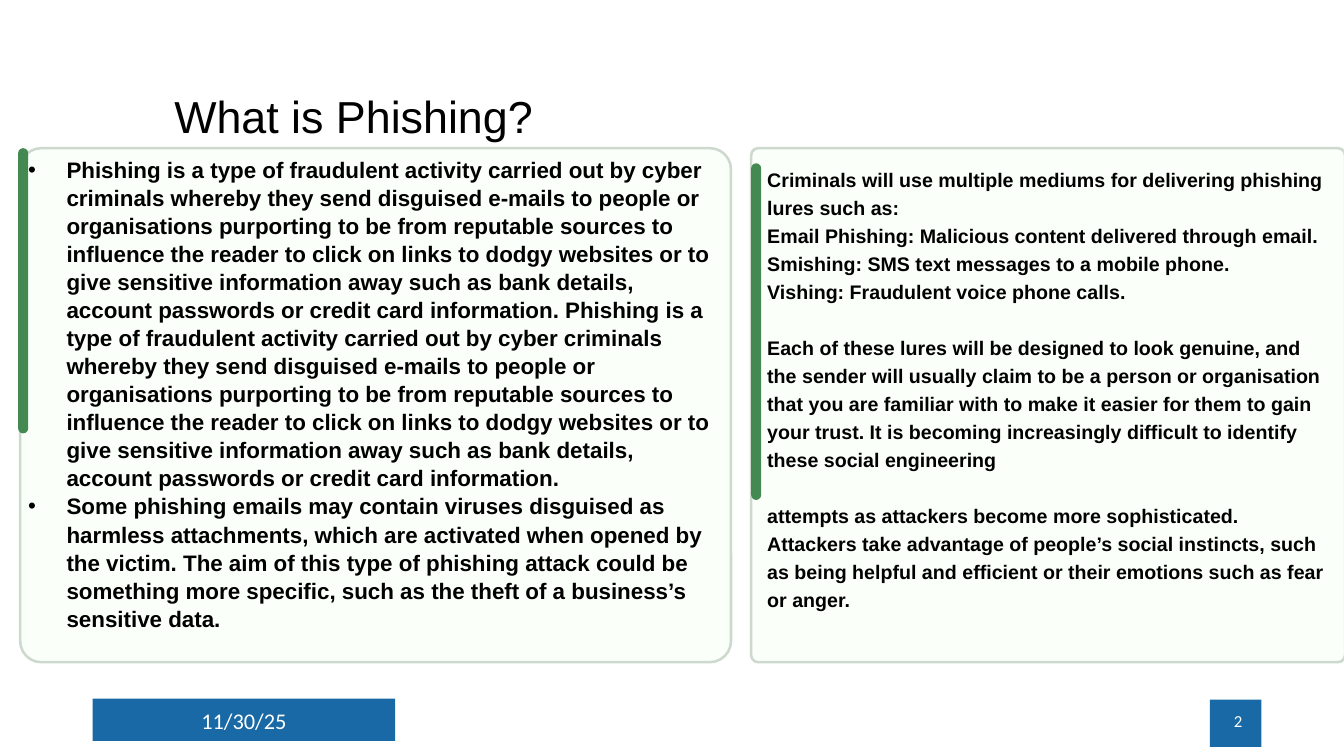
from dataclasses import dataclass

from lxml import etree
from pptx import Presentation
from pptx import util as u
from pptx.dml.color import RGBColor
from pptx.enum import shapes, text
from pptx.oxml.ns import qn

PX = 9144


@dataclass(frozen=True)
class Theme:
    """Colours, fonts and type sizes of the slide."""
    ink: str = "000000"
    white: str = "FFFFFF"
    band: str = "1869A6"
    card: str = "FAFFFA"
    border: str = "CED9CE"
    accent: str = "438951"
    body_font: str = "Arial"
    footer_font: str = "Calibri"
    title_size: int = 32
    definition_size: int = 16
    lures_size: int = 14
    date_size: int = 16
    number_size: int = 12
    leading: int = 20
    title_leading: float = 53.5


THEME = Theme()
ACCENT_WIDTH = 10
BULLET_INDENT = 38

PHISHING = (
    "Phishing is a type of fraudulent activity carried out by cyber criminals whereby they send "
    "disguised e-mails to people or organisations purporting to be from reputable sources to "
    "influence the reader to click on links to dodgy websites or to give sensitive information "
    "away such as bank details, account passwords or credit card information."
)
DEFINITION = [
    f"{PHISHING} {PHISHING}",
    "Some phishing emails may contain viruses disguised as harmless attachments, which are "
    "activated when opened by the victim. The aim of this type of phishing attack could be "
    "something more specific, such as the theft of a business’s sensitive data.",
]
LURES = [
    "Criminals will use multiple mediums for delivering phishing lures such as:",
    "Email Phishing: Malicious content delivered through email.",
    "Smishing: SMS text messages to a mobile phone.",
    "Vishing: Fraudulent voice phone calls.",
    "Each of these lures will be designed to look genuine, and the sender will usually claim to "
    "be a person or organisation that you are familiar with to make it easier for them to gain "
    "your trust. It is becoming increasingly difficult to identify these social engineering",
    "attempts as attackers become more sophisticated. Attackers take advantage of people’s "
    "social instincts, such as being helpful and efficient or their emotions such as fear or "
    "anger.",
]
SPACED_LURES = (4, 5)


def emu(box):
    """Turn a box of px lengths into EMU."""
    return [u.Emu(length * PX) for length in box]


def add_panel(slide, box, fill, border=None, radius=None):
    """Draw a filled rectangle, rounded when a radius in px is given."""
    kind = shapes.MSO_SHAPE.RECTANGLE if radius is None else shapes.MSO_SHAPE.ROUNDED_RECTANGLE
    panel = slide.shapes.add_shape(kind, *emu(box))
    panel.shadow.inherit = False
    if radius is not None:
        panel.adjustments[0] = min(0.5, radius / min(box[2:]))
    panel.fill.solid()
    panel.fill.fore_color.rgb = RGBColor.from_string(fill)
    if border:
        panel.line.color.rgb = RGBColor.from_string(border)
        panel.line.width = u.Pt(1.8)
    else:
        panel.line.fill.background()


def add_copy(slide, box, lines, size, font=THEME.body_font, color=THEME.ink, bold=False,
             leading=None, align=text.PP_ALIGN.LEFT, anchor=text.MSO_ANCHOR.TOP, inset=(0, 0)):
    """Place paragraphs in a wrapping text box and return its text frame."""
    frame = slide.shapes.add_textbox(*emu(box)).text_frame
    frame.word_wrap = True
    frame.vertical_anchor = anchor
    frame.margin_left = frame.margin_right = u.Emu(inset[0] * PX)
    frame.margin_top = frame.margin_bottom = u.Emu(inset[1] * PX)
    frame.text = "\n".join(lines)
    for paragraph in frame.paragraphs:
        paragraph.alignment = align
        if leading:
            paragraph.line_spacing = u.Pt(leading)
        paragraph.font.name = font
        paragraph.font.size = u.Pt(size)
        paragraph.font.bold = bold
        paragraph.font.color.rgb = RGBColor.from_string(color)
    return frame


def add_bullet(paragraph):
    """Give a paragraph a hanging round bullet."""
    props = paragraph._p.get_or_add_pPr()
    props.set("marL", str(BULLET_INDENT * PX))
    props.set("indent", str(-BULLET_INDENT * PX))
    marks = []
    for tag, attribute, value in (("a:buFont", "typeface", THEME.body_font),
                                  ("a:buChar", "char", "•")):
        mark = etree.Element(qn(tag))
        mark.set(attribute, value)
        marks.append(mark)
    props.find(qn("a:defRPr")).getprevious().addnext(marks[0])
    marks[0].addnext(marks[1])


def add_title(slide, box):
    """Place the heading."""
    frame = add_copy(slide, box, ["What is Phishing?"], THEME.title_size,
                     leading=THEME.title_leading, inset=(10, 5))
    frame.auto_size = text.MSO_AUTO_SIZE.SHAPE_TO_FIT_TEXT


def add_definition(slide, box):
    """Build the left card, which defines phishing."""
    left, top, width, height = box
    add_panel(slide, box, THEME.card, THEME.border, radius=21)
    add_panel(slide, (left - 2, top, ACCENT_WIDTH, 283), THEME.accent, radius=5)
    frame = add_copy(slide, (left + 8, top + 7, width - 16, height - 1), DEFINITION,
                     THEME.definition_size, bold=True, leading=THEME.leading)
    for paragraph in frame.paragraphs:
        add_bullet(paragraph)


def add_lures(slide, box):
    """Build the right card, which lists the lures."""
    left, top, width, height = box
    add_panel(slide, box, THEME.card, THEME.border, radius=7)
    add_panel(slide, (left, top + 15, ACCENT_WIDTH, 334), THEME.accent, radius=5)
    frame = add_copy(slide, (left + 16, top + 15, width - 29, 179), LURES,
                     THEME.lures_size, bold=True, leading=THEME.leading)
    for index in SPACED_LURES:
        frame.paragraphs[index].space_before = u.Pt(THEME.leading)


def add_footer(slide, box):
    """Draw the date band and the slide number."""
    left, top, width, height = box
    add_panel(slide, (left, top, 300, 42), THEME.band)
    add_panel(slide, (left + width - 42, top + 1, 51, 47), THEME.band)
    for start, words, size, align in (
        (left, "11/30/25", THEME.date_size, text.PP_ALIGN.CENTER),
        (left + width - 300, "2", THEME.number_size, text.PP_ALIGN.RIGHT),
    ):
        add_copy(slide, (start, top + 2, 300, 40), [words], size, THEME.footer_font,
                 THEME.white, align=align, anchor=text.MSO_ANCHOR.MIDDLE, inset=(10, 5))


def main():
    """Build the slide and save it."""
    deck = Presentation()
    deck.slide_width, deck.slide_height = emu((1333, 750))
    slide = deck.slides.add_slide(deck.slide_layouts[6])
    add_footer(slide, (92, 693, 1150, 48))
    add_definition(slide, (20, 147, 705, 510))
    add_lures(slide, (745, 147, 589, 510))
    add_title(slide, (163, 62, 1038, 85))
    deck.save("out.pptx")


if __name__ == "__main__":
    main()
